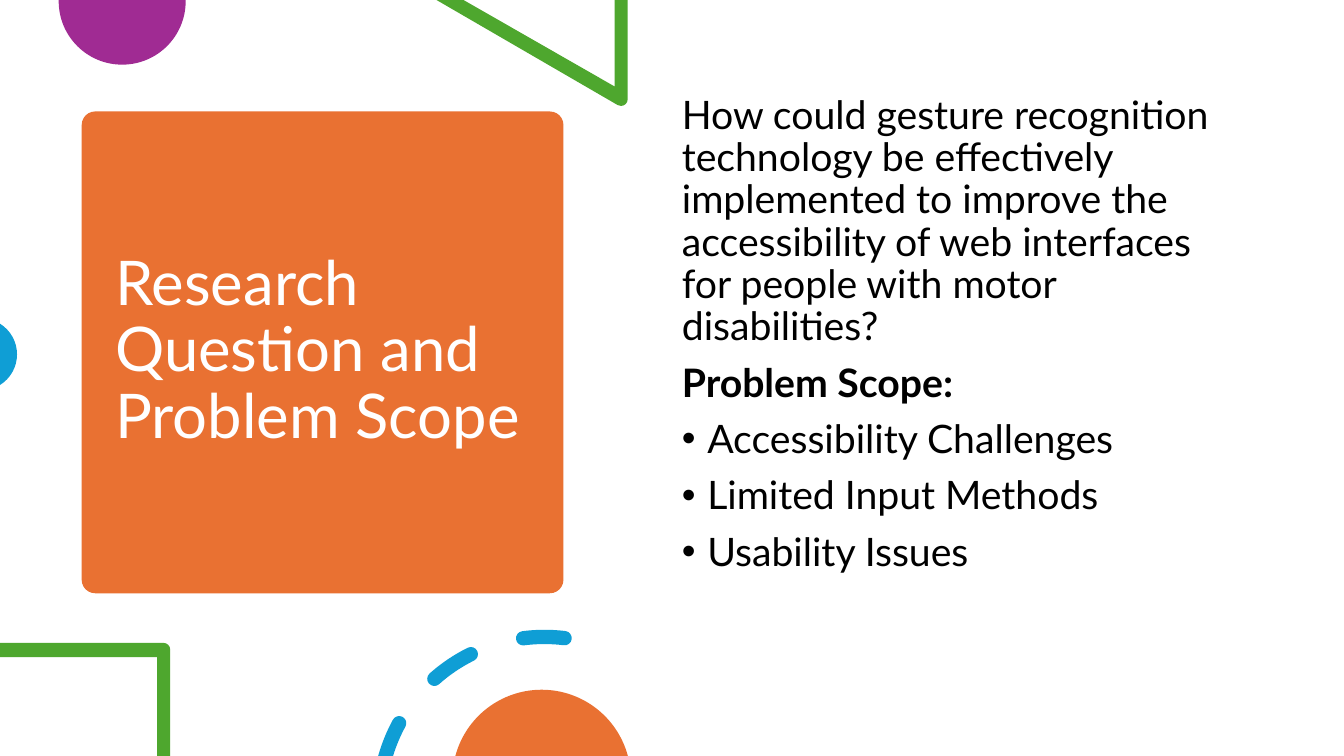
from math import cos, radians, sin, tan

from lxml import etree
from pptx import Presentation
from pptx import util as u
from pptx.dml.color import RGBColor
from pptx.enum import shapes, text
from pptx.oxml.ns import qn

ORANGE = RGBColor(0xE9, 0x71, 0x32)
PURPLE = RGBColor(0xA0, 0x2B, 0x93)
GREEN = RGBColor(0x4E, 0xA7, 0x2E)
BLUE = RGBColor(0x0F, 0x9E, 0xD5)
WHITE = RGBColor(0xFF, 0xFF, 0xFF)
BLACK = RGBColor(0, 0, 0)
WIDTH, HEIGHT = 33.87, 19.05
UNITS = 1000

deck = Presentation()
deck.slide_width, deck.slide_height = u.Cm(WIDTH), u.Cm(HEIGHT)
slide = deck.slides.add_slide(deck.slide_layouts[1])


def arc(x, y, r, *turns):
    spots = [(radians(t), x + r * cos(radians(t)), y + r * sin(radians(t))) for t in turns]
    parts = [spots[0][1:]]
    for (a, ax, ay), (b, bx, by) in zip(spots, spots[1:]):
        pull = r * 4 / 3 * tan((b - a) / 4)
        parts.append((ax - pull * sin(a), ay + pull * cos(a),
                      bx + pull * sin(b), by - pull * cos(b), bx, by))
    return parts


def draw(color, *loops):
    build, sizes = None, []
    for loop in loops:
        dots = [(part[i] * UNITS, part[i + 1] * UNITS)
                for part in loop for i in range(0, len(part), 2)]
        if build is None:
            build = slide.shapes.build_freeform(*dots[0], scale=u.Cm(1) / UNITS)
        else:
            build.move_to(*dots[0])
        build.add_line_segments(dots[1:], close=True)
        sizes += [len(part) // 2 for part in loop[1:]]
    form = build.convert_to_shape()
    lines = iter(list(form._element.iter(qn("a:lnTo"))))
    for size in sizes:
        curve, *rest = [next(lines) for _ in range(size)]
        if rest:
            curve.tag = qn("a:cubicBezTo")
        for line in rest:
            curve.append(line[0])
            line.getparent().remove(line)
    form.shadow.inherit = False
    form.fill.solid()
    form.fill.fore_color.rgb = color
    form.line.fill.background()


panel = slide.shapes.add_shape(
    shapes.MSO_SHAPE.ROUNDED_RECTANGLE, u.Cm(2.06), u.Cm(2.81), u.Cm(12.14), u.Cm(12.14))
panel.adjustments[0] = 0.028
panel.shadow.inherit = False
panel.fill.solid()
panel.fill.fore_color.rgb = ORANGE
panel.line.fill.background()
slide.shapes._spTree.insert(2, panel._element)

title, body = slide.shapes.title, slide.placeholders[1]
title.left, title.top, title.width, title.height = map(u.Cm, (2.65, 3.08, 10.95, 11.58))
body.left, body.top, body.width, body.height = map(u.Cm, (16.93, 2.27, 14.6, 13.59))

title.text_frame.text = "Research Question and Problem Scope"
body.text_frame.text = "\n".join([
    "How could gesture recognition technology be effectively implemented to improve "
    "the accessibility of web interfaces for people with motor disabilities?",
    "Problem Scope:",
    "Accessibility Challenges",
    "Limited Input Methods",
    "Usability Issues",
])

for box, size, color, anchor, gap in (
    (title, 44, WHITE, text.MSO_ANCHOR.MIDDLE, 0),
    (body, 28, BLACK, text.MSO_ANCHOR.TOP, 10),
):
    frame = box.text_frame
    frame.word_wrap = True
    frame.auto_size = text.MSO_AUTO_SIZE.NONE
    frame.vertical_anchor = anchor
    for para in frame.paragraphs:
        para.alignment = text.PP_ALIGN.LEFT
        para.line_spacing = 0.9
        para.space_before = u.Pt(gap)
        for run in para.runs:
            run.font.name = "Lato"
            run.font.size = u.Pt(size)
            run.font.color.rgb = color

for i, para in enumerate(body.text_frame.paragraphs):
    para.runs[0].font.bold = i == 1
    props = para._p.get_or_add_pPr()
    dent = u.Cm(0.64) if i > 1 else 0
    props.set("marL", str(dent))
    props.set("indent", str(-dent))
    if i > 1:
        etree.SubElement(props, qn("a:buFont")).set("typeface", "Arial")
        etree.SubElement(props, qn("a:buChar")).set("char", "•")
    else:
        etree.SubElement(props, qn("a:buNone"))

draw(PURPLE, [(4.68, 0)] + arc(3.08, 0.03, 1.6, 0, 90, 180) + [(1.48, 0)])
draw(GREEN, [(15.82, 0), (15.49, 0), (15.49, 2.18), (11.68, 0), (11, 0)]
     + arc(15.65, 2.5, 0.17, 120, 90, 0))
draw(BLUE, arc(-0.48, 8.93, 0.91, -58.2, 0, 58.2))
draw(GREEN, [(0, 16.2), (0, 16.56), (3.96, 16.56), (3.96, HEIGHT), (4.29, HEIGHT)]
     + arc(4.12, 16.37, 0.17, 0, -90))

hub, ring, half = (13.72, 20.22), 4.17, 0.18
dashes = []
for outer, inner, end in ((195.6, 197.05, 208.6), (228.3, 228.3, 243.6), (262.6, 262.6, 277)):
    head = arc(*hub, ring, end)[0]
    dash = (arc(*hub, ring + half, outer, end)
            + arc(*head, half, end, end + 90, end + 180)[1:]
            + arc(*hub, ring - half, end, inner)[1:])
    if outer == inner:
        tail = arc(*hub, ring, outer)[0]
        dash += arc(*tail, half, outer + 180, outer + 270, outer + 360)[1:]
    dashes.append(dash)
draw(BLUE, *dashes)
draw(ORANGE, arc(13.65, 19.63, 2.25, 194.9, 270, 345.1))

deck.save("out.pptx")
